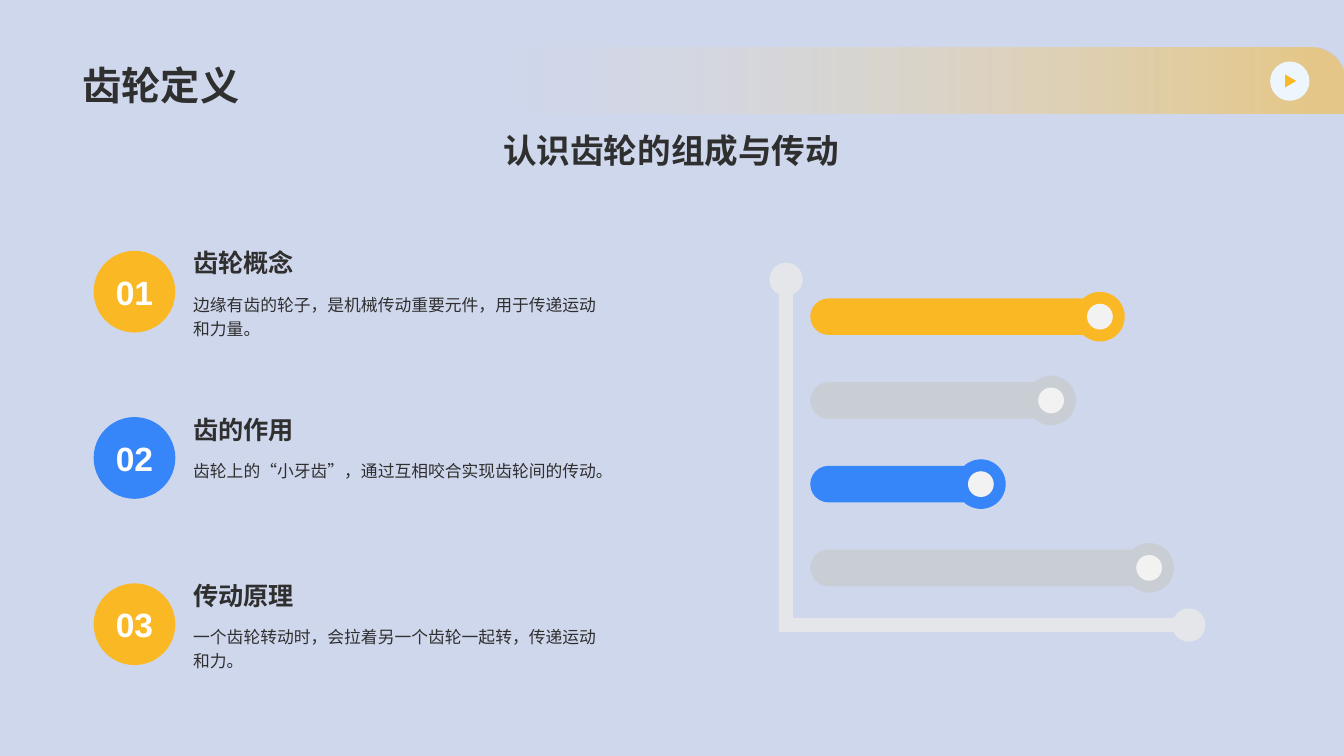
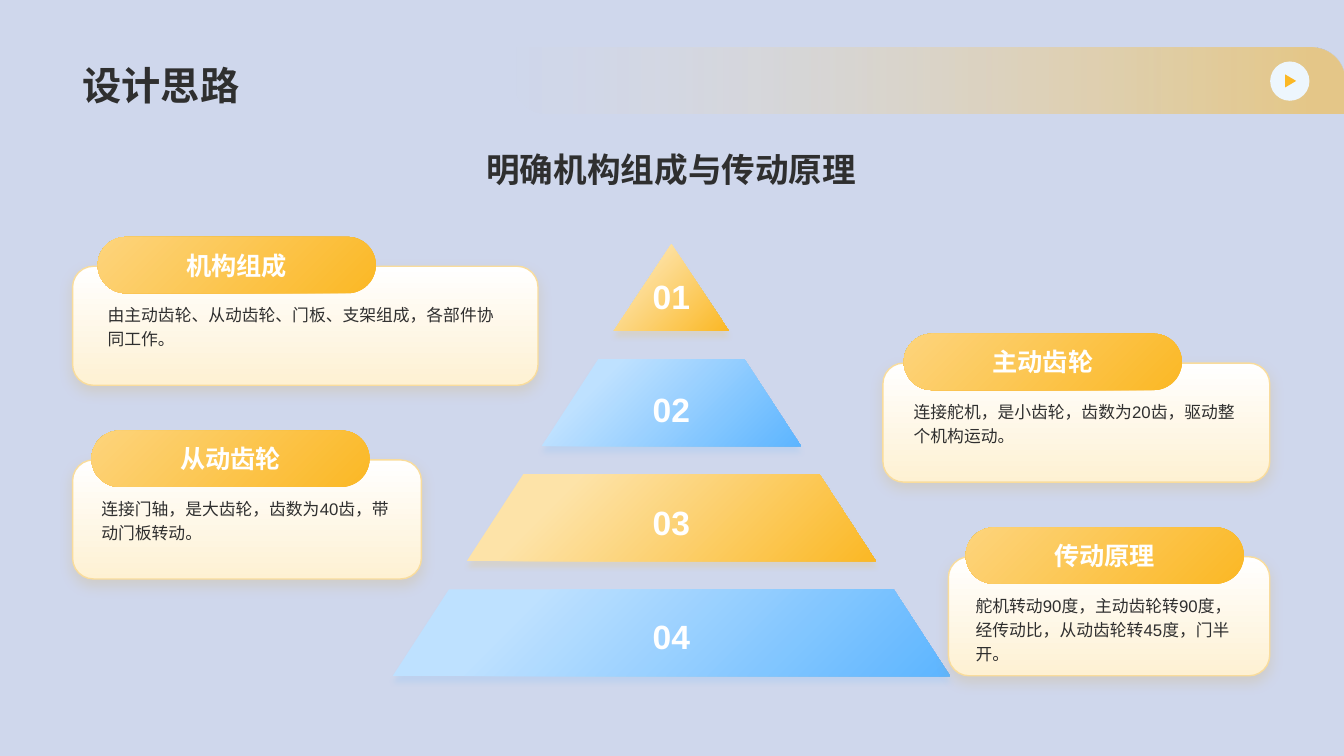
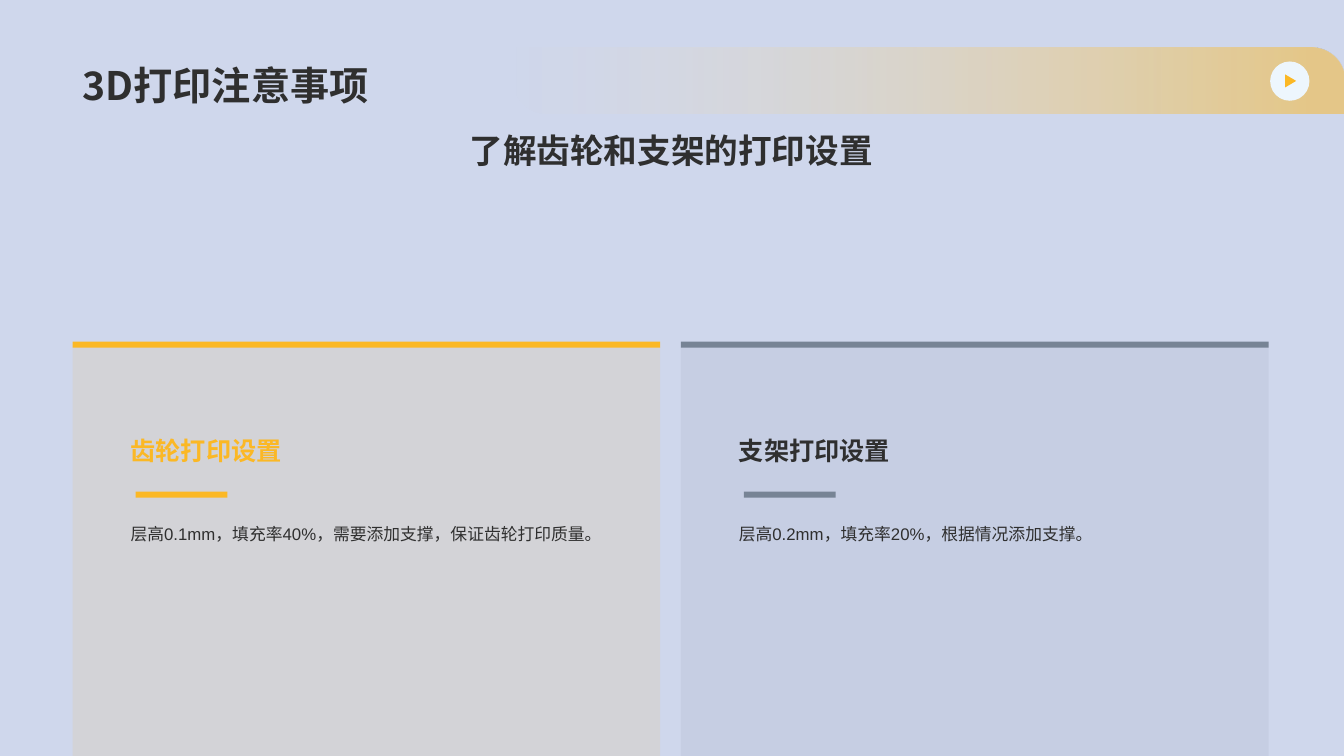
from lxml import etree
from pptx import Presentation
from pptx.dml.color import RGBColor
from pptx.enum.shapes import MSO_SHAPE
from pptx.enum.text import MSO_ANCHOR, MSO_AUTO_SIZE, PP_ALIGN
from pptx.oxml.ns import qn
from pptx.util import Cm, Pt

RECT = MSO_SHAPE.RECTANGLE
ROUND_RECT = MSO_SHAPE.ROUNDED_RECTANGLE
DIAGONAL_RECT = MSO_SHAPE.ROUND_2_DIAG_RECTANGLE
ELLIPSE = MSO_SHAPE.OVAL
TRIANGLE = MSO_SHAPE.ISOSCELES_TRIANGLE
TRAPEZOID = MSO_SHAPE.TRAPEZOID
TOP, MIDDLE, BOTTOM = MSO_ANCHOR.TOP, MSO_ANCHOR.MIDDLE, MSO_ANCHOR.BOTTOM
LEFT, CENTER = PP_ALIGN.LEFT, PP_ALIGN.CENTER
NO_AUTOFIT = MSO_AUTO_SIZE.NONE

LATIN_FONT = "Arial"
CJK_FONT = "Noto Sans CJK SC"
COLORS = {
    "background": "CFD7EC", "ink": "2F2F2F", "white": "FFFFFF",
    "amber": "FBB825", "amber_light": "FDE3A8", "amber_mid": "FDD47C",
    "amber_shadow": "D49304", "cream": "FEF1D3", "card_line": "F9DC9C",
    "blue": "3685F9", "sky": "5DB5FF", "sky_light": "BEE1FF",
    "ice": "EDF6FD", "axis": "E4E6EA", "silver": "C9CED5",
    "knob": "F2F2F2", "slate": "778495",
}
SLIDE_W, SLIDE_H = 33.87, 19.05
MARGIN, CONTENT_W = 1.83, 30.17


def cm(*lengths):
    return [Cm(length) for length in lengths]


def rgb(color):
    return RGBColor.from_string(COLORS[color])


def write(frame, text, size=12, color="ink", bold=False, align=LEFT,
          anchor=TOP, spacing=None, font=LATIN_FONT, wrap=True):
    frame.auto_size = NO_AUTOFIT
    frame.word_wrap = wrap
    frame.vertical_anchor = anchor
    paragraph = frame.paragraphs[0]
    paragraph.alignment = align
    if spacing:
        paragraph.line_spacing = spacing
    run = paragraph.add_run()
    run.text = text
    run.font.size = Pt(size)
    run.font.bold = bold
    run.font.color.rgb = rgb(color)
    run.font.name = font
    properties = run.font._element
    etree.SubElement(properties, qn("a:ea")).set("typeface", CJK_FONT)


def add_text(slide, box, text, **style):
    write(slide.shapes.add_textbox(*cm(*box)).text_frame, text, **style)


def set_alpha(shape, *percents):
    for color, percent in zip(shape.element.spPr.iter(qn("a:srgbClr")), percents):
        etree.SubElement(color, qn("a:alpha")).set("val", str(percent * 1000))


def paint(shape, fill):
    shape.shadow.inherit = False
    shape.fill.solid()
    shape.fill.fore_color.rgb = rgb(fill)
    shape.line.fill.background()


def add_block(slide, kind, box, fill, adjust=()):
    shape = slide.shapes.add_shape(kind, *cm(*box))
    for index, value in enumerate(adjust):
        shape.adjustments[index] = value
    paint(shape, fill)
    return shape


def add_gradient(shape, stops, angle):
    shape.fill.gradient()
    shape.fill.gradient_angle = (360 - angle) % 360
    for stop, (position, color) in zip(shape.fill.gradient_stops, stops):
        stop.position = position
        stop.color.rgb = rgb(color)


def add_shadow(shape, color, blur):
    effects = shape.element.spPr.find(qn("a:effectLst"))
    shadow = etree.SubElement(effects, qn("a:outerShdw"), blurRad=str(Pt(blur)),
                              dist=str(Pt(4)), dir="5400000", algn="t", rotWithShape="0")
    tint = etree.SubElement(shadow, qn("a:srgbClr"), val=COLORS[color])
    etree.SubElement(tint, qn("a:alpha"), val="15000")


def style_layout(layout, slide):
    layout.background.fill.solid()
    layout.background.fill.fore_color.rgb = rgb("background")
    for placeholder in list(layout.placeholders):
        if placeholder.placeholder_format.idx:
            layout.shapes.element.remove(placeholder.element)
        else:
            (placeholder.left, placeholder.top,
             placeholder.width, placeholder.height) = cm(MARGIN, 0.36, CONTENT_W, 2.49)
    band = add_block(slide, DIAGONAL_RECT, (12.95, 1.19, SLIDE_W - 12.95, 1.66),
                     "amber", (0, 0.5))
    add_gradient(band, [(0, "amber_light"), (0.96, "amber")], 0)
    set_alpha(band, 0, 50)
    button = add_block(slide, ELLIPSE, (32.01, 1.55, 0.99, 0.99), "ice")
    play = add_block(slide, TRIANGLE, (32.36, 1.9, 0.33, 0.28), "amber")
    play.rotation = 90
    for part in (band, button, play):
        layout.shapes.element.append(part.element)


def add_headings(slide, title, subtitle, anchor=TOP, font=LATIN_FONT):
    write(slide.shapes.title.text_frame, title, size=28, bold=True,
          anchor=BOTTOM, font=font)
    add_text(slide, (MARGIN, 3.15, CONTENT_W, 2.2), subtitle, size=24,
             bold=True, align=CENTER, anchor=anchor)


def add_concept(slide, left, top, number, heading, body, color):
    badge = add_block(slide, ELLIPSE, (left, top + 0.66, 2.06, 2.06), color)
    write(badge.text_frame, number, size=24, color="white", bold=True,
          align=CENTER, anchor=MIDDLE)
    add_text(slide, (left + 2.26, top, 10.67, 1.47), heading, size=18,
             bold=True, anchor=BOTTOM)
    add_text(slide, (left + 2.26, top + 1.53, 10.67, 1.47), body, spacing=1.2)


def add_slider(slide, left, middle, reach, color):
    add_block(slide, ROUND_RECT, (left, middle - 0.46, reach, 0.92), color, (0.5,))
    for diameter, fill in ((1.25, color), (0.65, "knob")):
        radius = diameter / 2
        add_block(slide, ELLIPSE, (left + reach - radius, middle - radius,
                                   diameter, diameter), fill)


def add_slider_panel(slide, left, top, width, height, sliders):
    bar = 0.36
    right, base = left + width, top + height
    outline = [(right, base), (left, base), (left, top), (left + bar, top),
               (left + bar, base - bar), (right, base - bar)]
    corners = [tuple(cm(*point)) for point in outline]
    builder = slide.shapes.build_freeform(*corners[0])
    builder.add_line_segments(corners[1:], close=True)
    paint(builder.convert_to_shape(), "axis")
    for x, y in ((left + bar / 2, top), (right - 0.03, base - bar / 2)):
        add_block(slide, ELLIPSE, (x - 0.42, y - 0.42, 0.84, 0.84), "axis")
    for row, (reach, color) in enumerate(sliders):
        add_slider(slide, left + 0.79, top + 0.94 + row * 2.11, reach, color)


def add_pyramid(slide, center, top, widths):
    palettes = (("amber_light", "amber"), ("sky_light", "sky"))
    for index, width in enumerate(widths):
        light, strong = palettes[index % 2]
        kind, adjust = (TRAPEZOID, (0.65,)) if index else (TRIANGLE, ())
        tier = add_block(slide, kind, (center - width / 2, top + index * 2.9, width, 2.19),
                         strong, adjust)
        add_gradient(tier, [(0.23, light), (1, strong)], 45)
        add_shadow(tier, strong, 4)
        if not index:
            tier.text_frame.margin_bottom = Cm(0.79)
        write(tier.text_frame, f"{index + 1:02}", size=24, color="white", bold=True,
              align=CENTER, anchor=MIDDLE, wrap=index > 0)


def add_card(slide, left, top, width, heading, body):
    card = add_block(slide, ROUND_RECT, (left, top, width, 3), "white", (0.175,))
    add_gradient(card, [(0, "cream"), (1, "white")], 270)
    card.line.color.rgb = rgb("card_line")
    card.line.width = Pt(1)
    add_shadow(card, "amber_shadow", 10)
    indent = width * 0.054
    add_text(slide, (left + indent, top + 0.75, width - 2 * indent, 1.9), body, spacing=1.2)
    pill = add_block(slide, ROUND_RECT, (left + indent, top - 0.74, 7.01, 1.42),
                     "amber", (0.5,))
    add_gradient(pill, [(0, "amber"), (1, "amber_mid")], 225)
    write(pill.text_frame, heading, size=18, color="white", bold=True,
          align=CENTER, anchor=MIDDLE)


def add_settings(slide, left, top, heading, body, color, heading_color):
    width = 14.81
    panel = add_block(slide, RECT, (left, top + 0.13, width, SLIDE_H - top - 0.13), color)
    set_alpha(panel, 10)
    add_block(slide, RECT, (left, top, width, 0.15), color)
    add_text(slide, (left + 1.21, top + 2.24, 11, 1.02), heading, size=18,
             color=heading_color, bold=True, anchor=MIDDLE)
    add_block(slide, RECT, (left + 1.59, top + 3.78, 2.31, 0.15), color)
    add_text(slide, (left + 1.21, top + 4.37, 12.52, 4.06), body, spacing=1.2)


def build_definition(slide):
    add_headings(slide, "齿轮定义", "认识齿轮的组成与传动")
    add_slider_panel(slide, 19.63, 7.04, 10.36, 8.89, [
        (7.3, "amber"), (6.07, "silver"), (4.3, "blue"), (8.54, "silver")])
    concepts = [
        ("齿轮概念", "边缘有齿的轮子，是机械传动重要元件，用于传递运动和力量。", "amber"),
        ("齿的作用", "齿轮上的“小牙齿”，通过互相咬合实现齿轮间的传动。", "blue"),
        ("传动原理", "一个齿轮转动时，会拉着另一个齿轮一起转，传递运动和力。", "amber"),
    ]
    for row, concept in enumerate(concepts):
        add_concept(slide, 2.36, 5.66 + row * 4.19, f"{row + 1:02}", *concept)


def build_design(slide):
    add_headings(slide, "设计思路", "明确机构组成与传动原理", anchor=MIDDLE)
    add_pyramid(slide, 16.92, 6.15, (2.9, 6.53, 10.31, 14.05))
    cards = [
        (11.73, "机构组成", "由主动齿轮、从动齿轮、门板、支架组成，各部件协同工作。"),
        (9.75, "主动齿轮", "连接舵机，是小齿轮，齿数为20齿，驱动整个机构运动。"),
        (8.79, "从动齿轮", "连接门轴，是大齿轮，齿数为40齿，带动门板转动。"),
        (8.1, "传动原理", "舵机转动90度，主动齿轮转90度，经传动比，从动齿轮转45度，门半开。"),
    ]
    for row, (width, heading, body) in enumerate(cards):
        left = MARGIN + CONTENT_W - width if row % 2 else MARGIN
        add_card(slide, left, 6.71 + row * 2.44, width, heading, body)


def build_printing(slide):
    add_headings(slide, "3D打印注意事项", "了解齿轮和支架的打印设置", font=CJK_FONT)
    settings = [
        ("齿轮打印设置", "层高0.1mm，填充率40%，需要添加支撑，保证齿轮打印质量。", "amber", "amber"),
        ("支架打印设置", "层高0.2mm，填充率20%，根据情况添加支撑。", "slate", "ink"),
    ]
    for column, setting in enumerate(settings):
        add_settings(slide, MARGIN + column * 15.33, 8.61, *setting)


def main():
    deck = Presentation()
    deck.slide_width, deck.slide_height = cm(SLIDE_W, SLIDE_H)
    layout = deck.slide_layouts[5]
    slides = [deck.slides.add_slide(layout) for _ in range(3)]
    style_layout(layout, slides[0])
    for build, slide in zip((build_definition, build_design, build_printing), slides):
        build(slide)
    deck.save("out.pptx")


if __name__ == "__main__":
    main()
